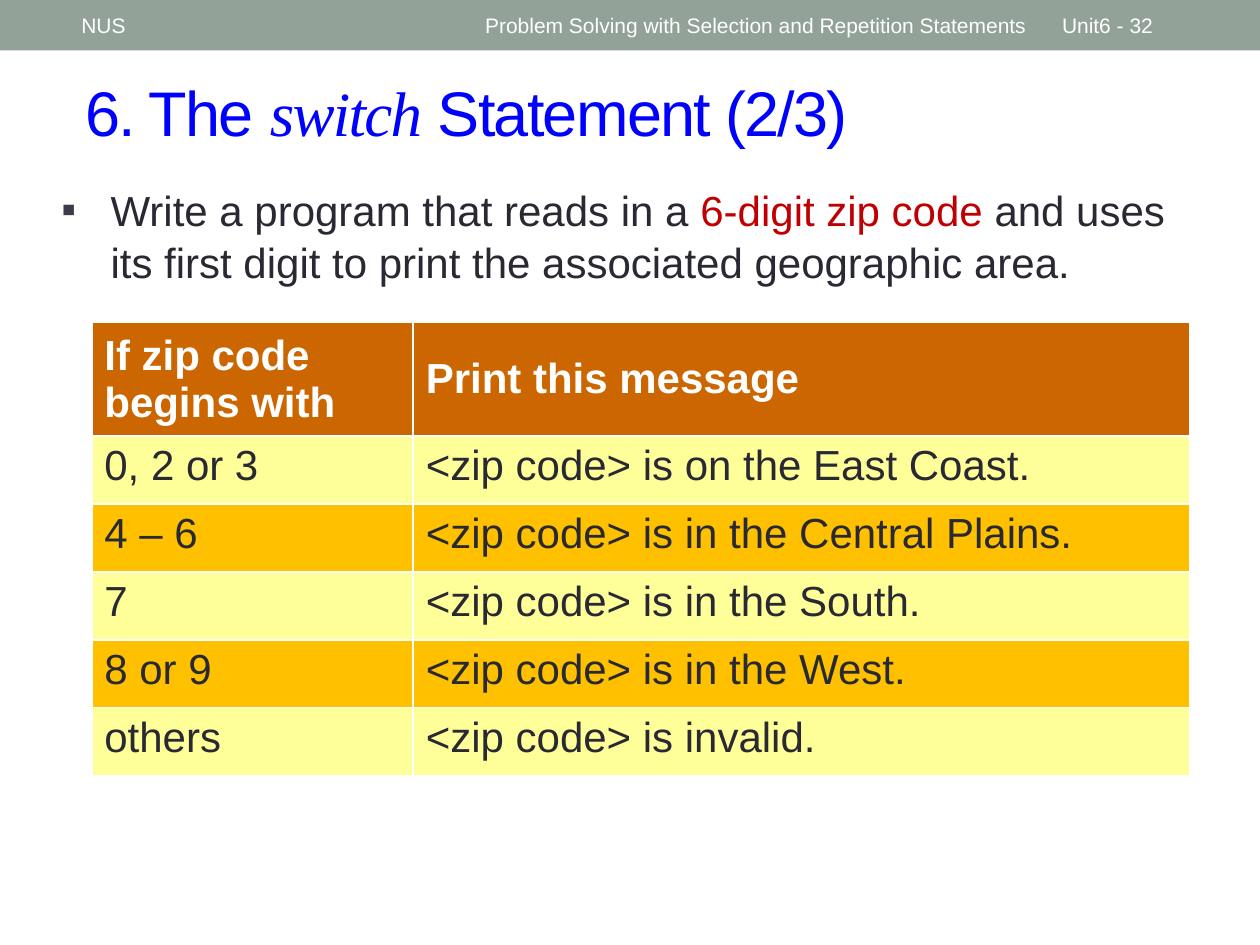
from lxml.etree import SubElement
from pptx import Presentation
from pptx.dml.color import RGBColor
from pptx.enum.shapes import MSO_SHAPE as Shape
from pptx.enum.text import MSO_ANCHOR as Anchor
from pptx.oxml.ns import qn
from pptx.util import Cm, Pt

COLORS = {
    "bar": "93A299", "white": "FFFFFF", "title": "0000FF", "text": "292934",
    "bullet": "3B3B4B", "accent": "C00000", "header": "CC6600",
    "light": "FFFF99", "dark": "FFC000",
}

ROWS = [
    ("If zip code begins with", "Print this message"),
    ("0, 2 or 3", "<zip code> is on the East Coast."),
    ("4 – 6", "<zip code> is in the Central Plains."),
    ("7", "<zip code> is in the South."),
    ("8 or 9", "<zip code> is in the West."),
    ("others", "<zip code> is invalid."),
]


def color(name):
    return RGBColor.from_string(COLORS[name])


def add_run(paragraph, text, color_name, **formats):
    run = paragraph.add_run()
    run.text = text
    for name, value in {"name": "Arial", **formats}.items():
        setattr(run.font, name, value)
    run.font.color.rgb = color(color_name)
    return run


def add_text_box(slide, left, top, width, height, **formats):
    box = slide.shapes.add_textbox(Cm(left), Cm(top), Cm(width), Cm(height))
    frame = box.text_frame
    for name, value in {"word_wrap": True, **formats}.items():
        setattr(frame, name, value)
    return frame.paragraphs[0]


def add_bar(slide, width):
    bar = slide.shapes.add_shape(Shape.RECTANGLE, 0, 0, width, Cm(1.02))
    bar.shadow.inherit = False
    bar.fill.solid()
    bar.fill.fore_color.rgb = color("bar")
    bar.line.fill.background()


def add_bar_label(slide, text, left, width, **formats):
    paragraph = add_text_box(slide, left, 0.05, width, 0.91,
                             vertical_anchor=Anchor.MIDDLE, **formats)
    add_run(paragraph, text, "white", size=Pt(12))


def add_title(slide):
    paragraph = add_text_box(slide, 1.47, 1.07, 23.29, 2.34,
                             vertical_anchor=Anchor.MIDDLE)
    parts = [("6. The ", {}),
             ("switch", {"name": "Times New Roman", "italic": True}),
             (" Statement (2/3)", {})]
    for text, formats in parts:
        run = add_run(paragraph, text, "title", size=Pt(36), **formats)
        run.font._element.set("spc", "-100")


def add_bullet(paragraph, indent):
    properties = paragraph._p.get_or_add_pPr()
    properties.set("marL", str(indent))
    properties.set("indent", str(-indent))
    bullet_color = SubElement(properties, qn("a:buClr"))
    SubElement(bullet_color, qn("a:srgbClr"), val=COLORS["bullet"])
    SubElement(properties, qn("a:buFont"), typeface="Arial")
    SubElement(properties, qn("a:buChar"), char="▪")


def add_task(slide):
    paragraph = add_text_box(slide, 0.99, 3.48, 23.37, 2.41, margin_top=Cm(0.19))
    add_bullet(paragraph, Cm(0.99))
    paragraph.line_spacing = 1.04
    parts = [("Write a program that reads in a ", "text"),
             ("6-digit zip code ", "accent"),
             ("and uses its first digit to print the associated geographic area.", "text")]
    for text, color_name in parts:
        add_run(paragraph, text, color_name, size=Pt(24))


def add_zip_table(slide):
    widths = [Cm(6.48), Cm(15.65)]
    heights = [Cm(2.1)] + [Cm(1.37)] * (len(ROWS) - 1)
    table = slide.shapes.add_table(len(ROWS), len(widths), Cm(1.85), Cm(6.5),
                                   sum(widths), sum(heights)).table
    for column, width in zip(table.columns, widths):
        column.width = width
    for index, (row, height, texts) in enumerate(zip(table.rows, heights, ROWS)):
        row.height = height
        is_header = index == 0
        fill = "header" if is_header else "light" if index % 2 else "dark"
        for cell, text in zip(row.cells, texts):
            cell.fill.solid()
            cell.fill.fore_color.rgb = color(fill)
            cell.vertical_anchor = Anchor.MIDDLE if is_header else Anchor.TOP
            add_run(cell.text_frame.paragraphs[0], text,
                    "white" if is_header else "text", size=Pt(24), bold=is_header)


def main():
    presentation = Presentation()
    presentation.slide_width, presentation.slide_height = Cm(25.4), Cm(19.05)
    slide = presentation.slides.add_slide(presentation.slide_layouts[6])
    add_bar(slide, presentation.slide_width)
    add_title(slide)
    add_bar_label(slide, "Problem Solving with Selection and Repetition Statements", 9.53, 11.43)
    add_bar_label(slide, "Unit6 - 32", 21.16, 2.97)
    add_bar_label(slide, "NUS", 1.27, 8.05, margin_left=Cm(0.37))
    add_task(slide)
    add_zip_table(slide)
    presentation.save("out.pptx")


if __name__ == "__main__":
    main()
